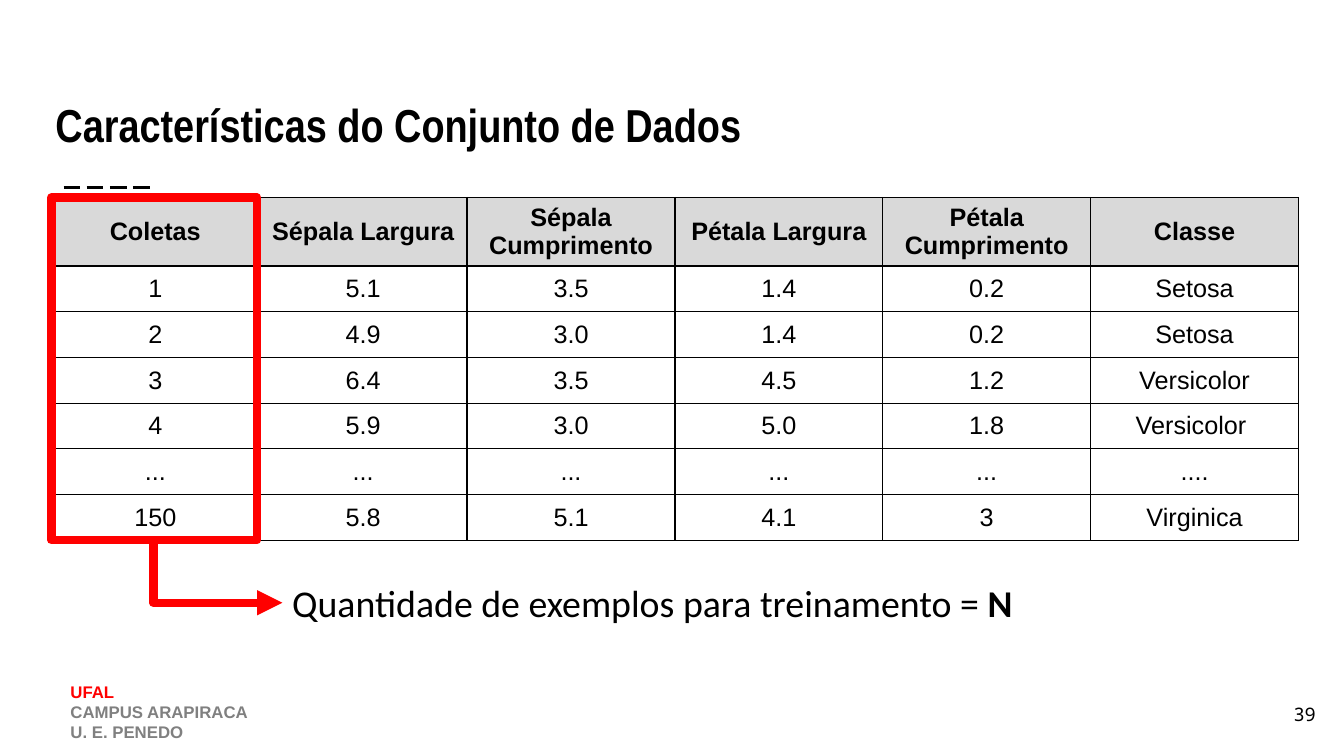
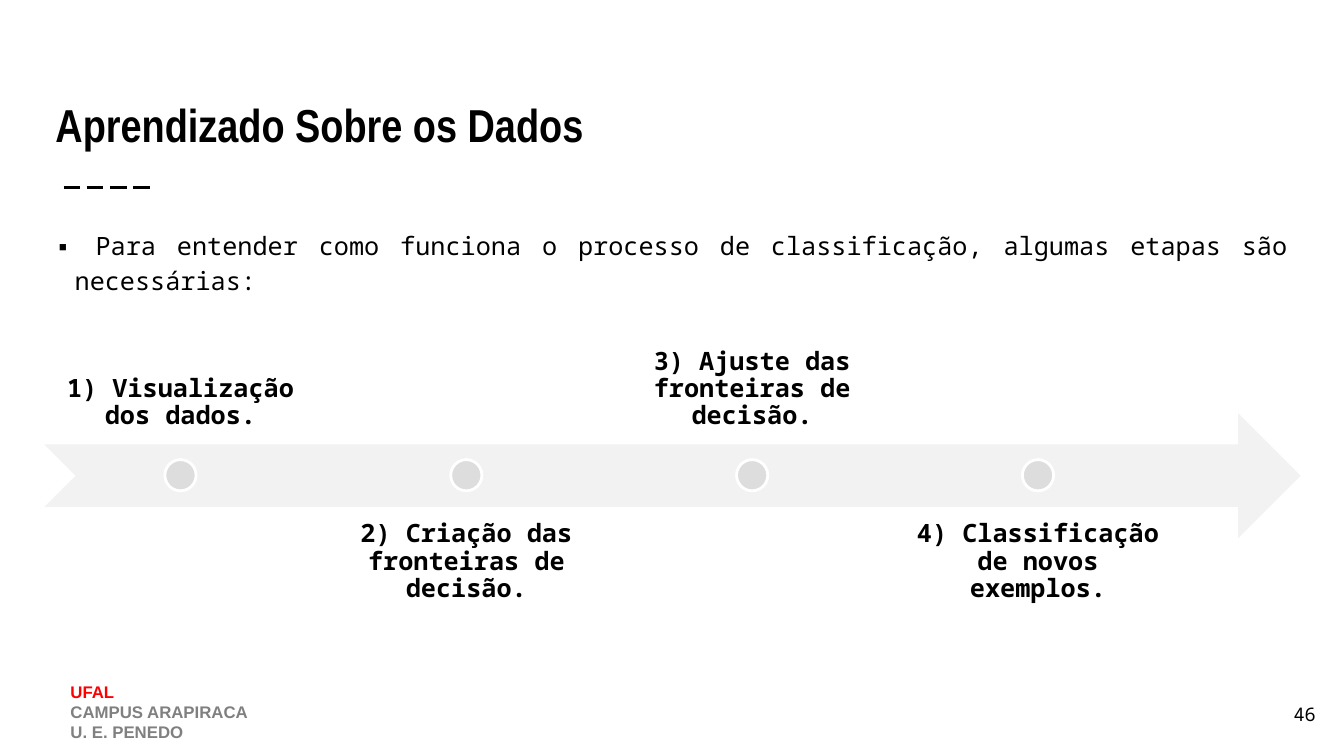
from lxml import etree
from pptx import Presentation
from pptx.dml.color import RGBColor
from pptx.enum.dml import MSO_LINE
from pptx.enum.shapes import MSO_CONNECTOR, MSO_SHAPE
from pptx.enum.text import MSO_ANCHOR, MSO_AUTO_SIZE, PP_ALIGN
from pptx.oxml import parse_xml
from pptx.oxml.ns import nsdecls, qn
from pptx.util import Emu, Pt

BLACK = RGBColor(0x00, 0x00, 0x00)
WHITE = RGBColor(0xFF, 0xFF, 0xFF)
RED = RGBColor(0xFF, 0x00, 0x00)
GRAY = RGBColor(0x80, 0x80, 0x80)
HEADER_FILL = RGBColor(0xD9, 0xD9, 0xD9)
ARROW_FILL = RGBColor(0xF2, 0xF2, 0xF2)
DOT_FILL = RGBColor(0xDD, 0xDD, 0xDD)

SANS, NARROW, CALLOUT, MONO = "Arial", "Arial Narrow", "Calibri", "Noto Sans Mono"

LEFT, CENTER, RIGHT, JUSTIFY = (
    PP_ALIGN.LEFT, PP_ALIGN.CENTER, PP_ALIGN.RIGHT, PP_ALIGN.JUSTIFY)
TOP, MIDDLE, BOTTOM = MSO_ANCHOR.TOP, MSO_ANCHOR.MIDDLE, MSO_ANCHOR.BOTTOM

PX = 9144  # 100 px to the inch


def px(*lengths):
    return [Emu(round(n * PX)) for n in lengths]


def format_text(tf, font, size, bold=False, align=LEFT, anchor=None, margin=None):
    """Format all runs; anchor and margin (px) apply to the frame if given."""
    if anchor is not None:
        tf.vertical_anchor = anchor
    if margin is not None:
        tf.margin_left, tf.margin_top, tf.margin_right, tf.margin_bottom = px(*[margin] * 4)
    for p in tf.paragraphs:
        p.alignment = align
        for r in p.runs:
            r.font.name = font
            r.font.size = Pt(size)
            r.font.bold = bold
            r.font.color.rgb = BLACK


prs = Presentation()
prs.slide_width, prs.slide_height = px(1333, 750)
title_only, title_and_body = prs.slide_layouts[5], prs.slide_layouts[1]
lines = []

# Title, dashed rule, footer and page number of every slide
for layout, title, number in [
    (title_only, "Características do Conjunto de Dados", "39"),
    (title_and_body, "Aprendizado Sobre os Dados", "46"),
]:
    s = prs.slides.add_slide(layout)
    rule = s.shapes.add_connector(MSO_CONNECTOR.STRAIGHT, *px(63, 186, 152, 186))
    rule.line.color.rgb = BLACK
    rule.line.width = Pt(1.5)
    rule.line.dash_style = MSO_LINE.LONG_DASH
    lines.append(rule)

    tf = s.shapes.add_textbox(*px(60, 671, 611, 71)).text_frame
    tf.word_wrap = True
    tf.text = "UFAL\nCAMPUS ARAPIRACA\nU. E. PENEDO"
    format_text(tf, SANS, 12, bold=True)
    for p, color in zip(tf.paragraphs, (RED, GRAY, GRAY)):
        p.runs[0].font.color.rgb = color

    sp = s.shapes.title
    sp.left, sp.top, sp.width, sp.height = px(45, 54, 1242, 107)
    tf = sp.text_frame
    tf.text = title
    tf.auto_size = MSO_AUTO_SIZE.NONE
    format_text(tf, NARROW, 33, bold=True, anchor=BOTTOM, margin=10)

    tf = s.shapes.add_textbox(*px(1235, 680, 80, 57)).text_frame
    tf.word_wrap = True
    tf.text = number
    format_text(tf, MONO, 13.3, align=RIGHT, anchor=MIDDLE, margin=10)

# Slide 1: data table with the sample column marked
s = prs.slides[0]
SAMPLES = [
    ["Coletas", "Sépala Largura", "Sépala Cumprimento", "Pétala Largura",
     "Pétala Cumprimento", "Classe"],
    ["1", "5.1", "3.5", "1.4", "0.2", "Setosa"],
    ["2", "4.9", "3.0", "1.4", "0.2", "Setosa"],
    ["3", "6.4", "3.5", "4.5", "1.2", "Versicolor"],
    ["4", "5.9", "3.0", "5.0", "1.8", "Versicolor "],
    ["...", "...", "...", "...", "...", "...."],
    ["150", "5.8", "5.1", "4.1", "3", "Virginica"],
]
TABLE_X, TABLE_Y, TABLE_W, TABLE_H, HEADER_H = 51, 196, 1237, 340, 68
row_count, col_count = len(SAMPLES), len(SAMPLES[0])
table = s.shapes.add_table(
    row_count, col_count, *px(TABLE_X, TABLE_Y, TABLE_W, TABLE_H)).table
table.first_row = table.horz_banding = False
for col in table.columns:
    col.width, = px(TABLE_W / col_count)
for i, row in enumerate(table.rows):
    row.height, = px((TABLE_H - HEADER_H) / (row_count - 1) if i else HEADER_H)
    for cell, text in zip(row.cells, SAMPLES[i]):
        cell.text = text
        format_text(cell.text_frame, SANS, 18, bold=i == 0, align=CENTER)
        cell.vertical_anchor = MIDDLE
        cell.margin_left, cell.margin_right = px(5, 5)
        cell.margin_top, cell.margin_bottom = px(3, 3)
        if i == 0:
            cell.fill.solid()
            cell.fill.fore_color.rgb = HEADER_FILL
        else:
            cell.fill.background()
        tc_pr = cell._tc.get_or_add_tcPr()
        for k, side in enumerate(("lnL", "lnR", "lnT", "lnB")):
            tc_pr.insert(k, parse_xml(
                f'<a:{side} {nsdecls("a")} w="12700"><a:solidFill>'
                f'<a:srgbClr val="{BLACK}"/></a:solidFill></a:{side}>'))

frame = s.shapes.add_shape(MSO_SHAPE.RECTANGLE, *px(TABLE_X, TABLE_Y, 204, TABLE_H))
frame.shadow.inherit = False
frame.fill.background()

# A two-segment elbow, turned so that it goes down and then right
elbow = s.shapes.add_connector(MSO_CONNECTOR.ELBOW, *px(247, 503, 185, 631))
sp_pr = elbow._element.spPr
sp_pr.find(qn("a:xfrm")).set("rot", "16200000")
sp_pr.find(qn("a:prstGeom")).set("prst", "bentConnector2")
lines.append(elbow)
for sp in (frame, elbow):
    sp.line.color.rgb = RED
    sp.line.width = Pt(6)
etree.SubElement(elbow.line._get_or_add_ln(), qn("a:tailEnd")).set("type", "triangle")

tf = s.shapes.add_textbox(*px(280, 570, 744, 56)).text_frame
tf.word_wrap = False
p = tf.paragraphs[0]
p.text = "Quantidade de exemplos para treinamento = "
p.add_run().text = "N"
format_text(tf, CALLOUT, 27)
p.runs[1].font.bold = True

# Slide 2: introduction and timeline
s = prs.slides[1]
sp = s.placeholders[1]
sp.left, sp.top, sp.width, sp.height = px(45, 214, 1242, 452)
tf = sp.text_frame
tf.text = (" Para entender como funciona o processo de classificação, "
           "algumas etapas são necessárias:")
tf.auto_size = MSO_AUTO_SIZE.NONE
p = tf.paragraphs[0]
p_pr = p._p.get_or_add_pPr()
indent, = px(19)
p_pr.set("marL", str(indent))
p_pr.set("indent", str(-indent))
etree.SubElement(etree.SubElement(p_pr, qn("a:buClr")), qn("a:srgbClr")).set("val", str(BLACK))
etree.SubElement(p_pr, qn("a:buFont")).set("typeface", MONO)
etree.SubElement(p_pr, qn("a:buChar")).set("char", "▪")
p.line_spacing = 1.15
p.space_before = Pt(0)
format_text(tf, MONO, 18, align=JUSTIFY, anchor=TOP, margin=10)

STEPS = ["1) Visualização dos dados.", "2) Criação das fronteiras de decisão.",
         "3) Ajuste das fronteiras de decisão.", "4) Classificação de novos exemplos."]
STEP_X, STEP_W, STEP_H, DOT = 44, 270, 124, 31
STEP_PITCH = STEP_W * 1.05

arrow = s.shapes.add_shape(MSO_SHAPE.NOTCHED_RIGHT_ARROW, *px(STEP_X, 410, 1246, STEP_H))
arrow.shadow.inherit = False
arrow.fill.solid()
arrow.fill.fore_color.rgb = ARROW_FILL
arrow.line.fill.background()

for i, step in enumerate(STEPS):
    x = STEP_X + i * STEP_PITCH
    y, anchor = ((317, BOTTOM), (503, TOP))[i % 2]
    tf = s.shapes.add_textbox(*px(x, y, STEP_W, STEP_H)).text_frame
    tf.word_wrap = True
    tf.text = step
    tf.paragraphs[0].line_spacing = 0.9
    format_text(tf, MONO, 18, bold=True, align=CENTER, anchor=anchor, margin=14)

    dot = s.shapes.add_shape(MSO_SHAPE.OVAL, *px(x + (STEP_W - DOT) / 2, 456, DOT, DOT))
    dot.shadow.inherit = False
    dot.fill.solid()
    dot.fill.fore_color.rgb = DOT_FILL
    dot.line.color.rgb = WHITE
    dot.line.width = Pt(2)

for line in lines:
    etree.SubElement(line._element.spPr, qn("a:effectLst"))

prs.save("out.pptx")
